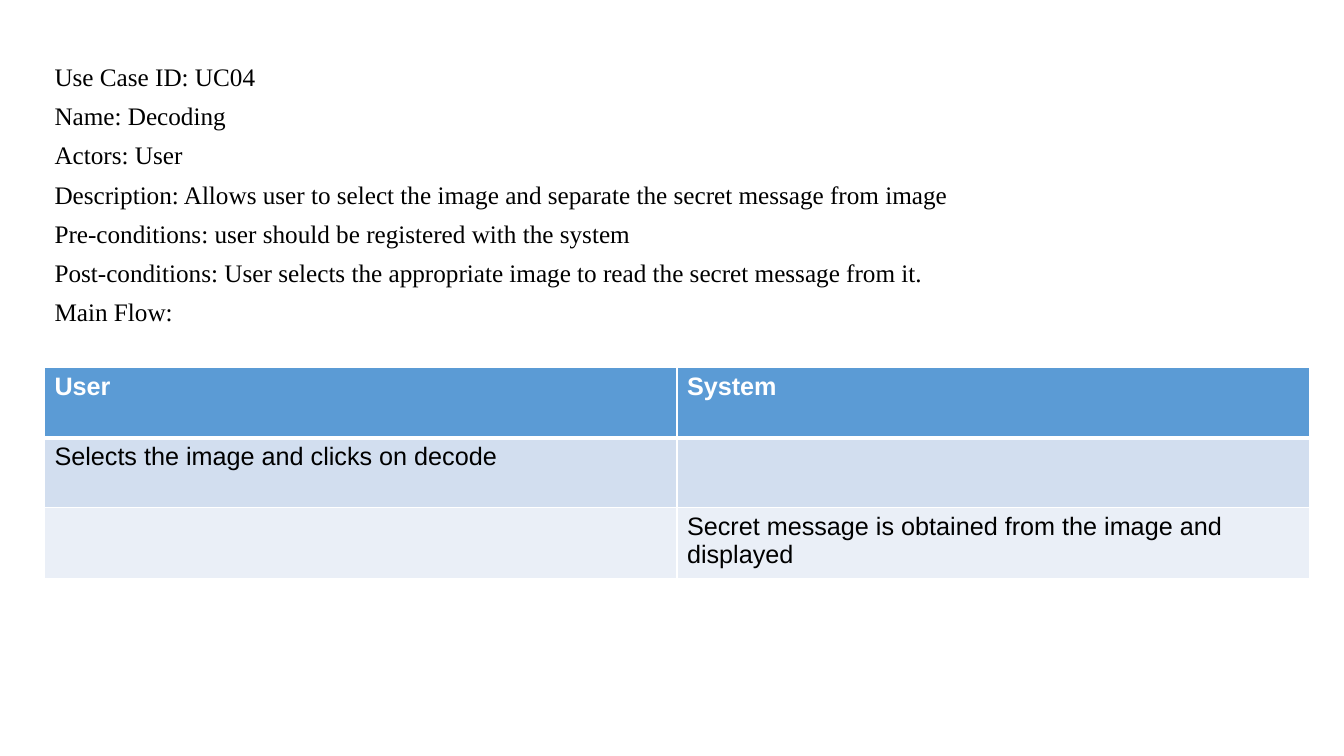
from dataclasses import dataclass

from lxml import etree
from pptx import Presentation
from pptx import util as u
from pptx.dml.color import RGBColor
from pptx.enum import text
from pptx.oxml import ns

USE_CASE = [
    "Use Case ID: UC04",
    "Name: Decoding",
    "Actors: User",
    "Description: Allows user to select the image and separate the secret message from image",
    "Pre-conditions: user should be registered with the system",
    "Post-conditions: User selects the appropriate image to read the secret message from it.",
    "Main Flow:",
]
MAIN_FLOW = [
    ("User", "System"),
    ("Selects the image and clicks on decode", ""),
    ("", "Secret message is obtained from the image and displayed"),
]


@dataclass(frozen=True)
class Theme:
    details_font: str = "Times New Roman"
    flow_font: str = "Arial"
    size: int = 18
    line_pitch: int = 28
    ink: str = "000000"
    paper: str = "FFFFFF"
    bands: tuple = ("5B9BD5", "D2DEEF", "EAEFF7")
    rule: int = 1
    header_rule: int = 3


THEME = Theme()
LEFT = u.Cm(1.12)
DETAILS_TOP, DETAILS_WIDTH, DETAILS_HEIGHT = u.Cm(1.19), u.Cm(24.28), u.Cm(7.14)
FLOW_TOP, FLOW_WIDTH, STEP_HEIGHT = u.Cm(9.27), u.Cm(31.88), u.Cm(1.76)


def write(paragraph, words, *, font, color=THEME.ink, bold=False, pitch=None):
    paragraph.text = words
    paragraph.font.name = font
    paragraph.font.size = u.Pt(THEME.size)
    paragraph.font.bold = bold
    paragraph.font.color.rgb = RGBColor.from_string(color)
    paragraph.alignment = text.PP_ALIGN.LEFT
    paragraph.space_before = paragraph.space_after = u.Pt(0)
    if pitch:
        paragraph.line_spacing = u.Pt(pitch)


def remove_bullet(paragraph):
    properties = paragraph._p.get_or_add_pPr()
    properties.set("marL", "0")
    properties.set("indent", "0")
    bullet = etree.SubElement(properties, ns.qn("a:buNone"))
    properties.find(ns.qn("a:defRPr")).addprevious(bullet)


def outline(cell, bottom):
    properties = cell._tc.get_or_add_tcPr()
    widths = {"lnL": THEME.rule, "lnR": THEME.rule, "lnT": THEME.rule, "lnB": bottom}
    for place, (side, width) in enumerate(widths.items()):
        line = etree.Element(ns.qn(f"a:{side}"), w=str(u.Pt(width)))
        fill = etree.SubElement(line, ns.qn("a:solidFill"))
        etree.SubElement(fill, ns.qn("a:srgbClr"), val=THEME.paper)
        properties.insert(place, line)


def add_details(details):
    details.left, details.top = LEFT, DETAILS_TOP
    details.width, details.height = DETAILS_WIDTH, DETAILS_HEIGHT
    frame = details.text_frame
    frame.word_wrap = True
    frame.auto_size = text.MSO_AUTO_SIZE.SHAPE_TO_FIT_TEXT
    frame.vertical_anchor = text.MSO_ANCHOR.TOP
    for index, fact in enumerate(USE_CASE):
        paragraph = frame.add_paragraph() if index else frame.paragraphs[0]
        write(paragraph, fact, font=THEME.details_font, pitch=THEME.line_pitch)
        remove_bullet(paragraph)


def add_main_flow(slide):
    steps, actors = len(MAIN_FLOW), len(MAIN_FLOW[0])
    flow = slide.shapes.add_table(
        steps, actors, LEFT, FLOW_TOP, FLOW_WIDTH, STEP_HEIGHT * steps
    ).table
    for row, step in enumerate(MAIN_FLOW):
        header = row == 0
        for column, action in enumerate(step):
            cell = flow.cell(row, column)
            write(cell.text_frame.paragraphs[0], action, font=THEME.flow_font,
                  color=THEME.paper if header else THEME.ink, bold=header)
            cell.fill.solid()
            cell.fill.fore_color.rgb = RGBColor.from_string(THEME.bands[row])
            outline(cell, THEME.header_rule if header else THEME.rule)


def main():
    deck = Presentation()
    deck.slide_width, deck.slide_height = u.Cm(33.87), u.Cm(19.05)
    slide = deck.slides.add_slide(deck.slide_layouts[1])
    heading, details = slide.placeholders
    heading.element.getparent().remove(heading.element)
    add_details(details)
    add_main_flow(slide)
    deck.save("out.pptx")


if __name__ == "__main__":
    main()
